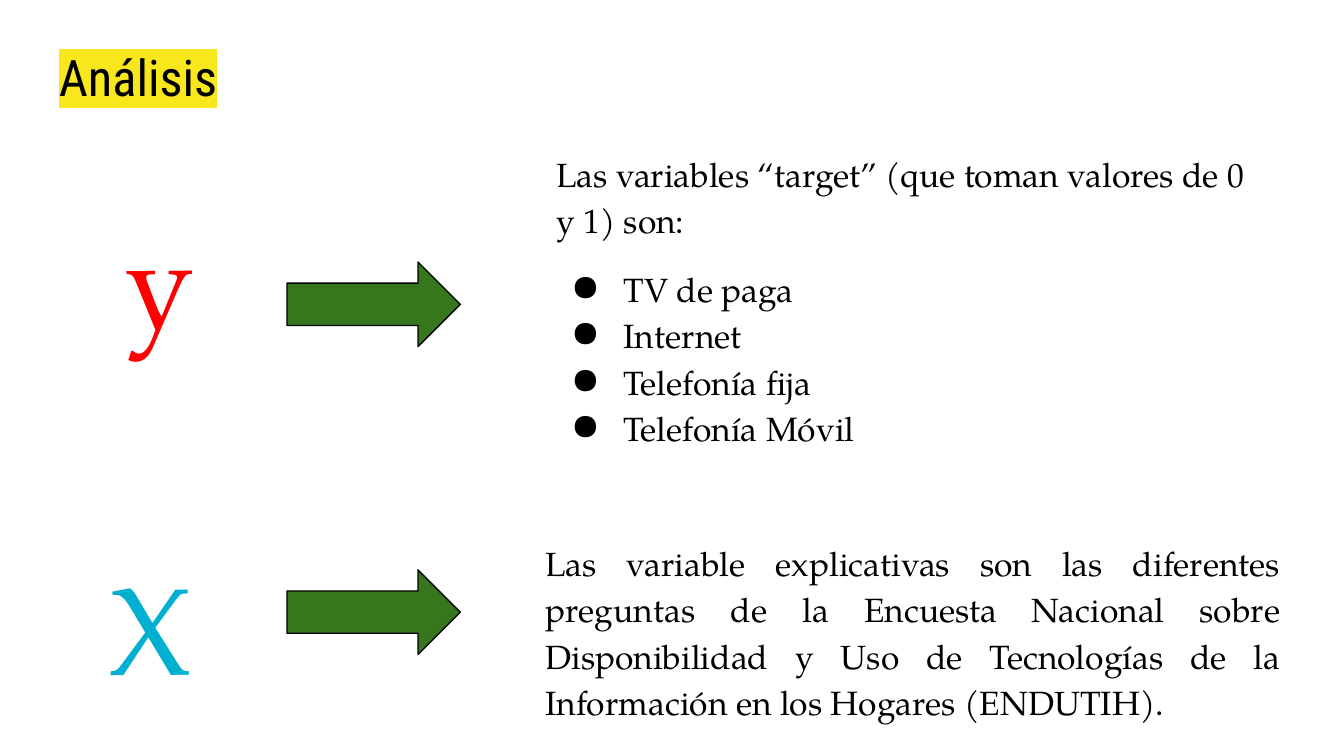
import dataclasses

import pptx
import pptx.dml.color
import pptx.enum.shapes
import pptx.enum.text
import pptx.oxml
import pptx.oxml.ns
import pptx.util

PX = 4572  # EMU per px, 200 px to the inch
ALIGN = pptx.enum.text.PP_ALIGN


@dataclasses.dataclass(frozen=True)
class Theme:
    heading_font: str = "Roboto Condensed"
    body_font: str = "TeX Gyre Pagella"
    heading_size: int = 27
    body_size: int = 18
    letter_size: int = 66
    ink: str = "000000"
    paper: str = "FFFFFF"
    marker: str = "F8E71C"
    target: str = "FF0000"
    features: str = "01AFD1"
    arrow: str = "38761D"


THEME = Theme()


def px(value):
    return pptx.util.Emu(value * PX)


def rgb(value):
    return pptx.dml.color.RGBColor.from_string(value)


def element(xml):
    return pptx.oxml.parse_xml(xml.replace(" ", f" {pptx.oxml.ns.nsdecls('a')} ", 1))


def add_text_box(page, box, grow=True):
    frame = page.shapes.add_textbox(*map(px, box)).text_frame
    frame.word_wrap = True
    frame.margin_left = frame.margin_right = px(20)
    frame.margin_top = frame.margin_bottom = px(20)
    if grow:
        frame.auto_size = pptx.enum.text.MSO_AUTO_SIZE.SHAPE_TO_FIT_TEXT
    return frame


def style(span, size, font=THEME.body_font, color=THEME.ink):
    span.font.size = pptx.util.Pt(size)
    span.font.name = font
    span.font.color.rgb = rgb(color)


def highlight(span, color):
    fill = span.font._element.find(pptx.oxml.ns.qn("a:solidFill"))
    fill.addnext(element(f'<a:highlight ><a:srgbClr val="{color}"/></a:highlight>'))


def add_bullet(para):
    props = para._p.get_or_add_pPr()
    props.set("marL", str(px(100)))
    props.set("indent", str(px(-75)))
    props.append(element(f'<a:buClr ><a:srgbClr val="{THEME.ink}"/></a:buClr>'))
    props.append(element(f'<a:buSzPts val="{THEME.body_size * 100}"/>'))
    props.append(element(f'<a:buFont typeface="{THEME.body_font}"/>'))
    props.append(element('<a:buChar char="●"/>'))


def add_heading(page, box, text):
    frame = add_text_box(page, box, grow=False)
    frame.text = text
    span = frame.paragraphs[0].runs[0]
    style(span, THEME.heading_size, THEME.heading_font)
    highlight(span, THEME.marker)


def add_symbol(page, box, letter, color, letter_offset, arrow_top):
    """Large variable letter with an arrow to its right."""
    left, top, width, height = box
    # Letter
    frame = add_text_box(page, (left + letter_offset, top, width, height))
    frame.text = letter
    style(frame.paragraphs[0].runs[0], THEME.letter_size, color=color)
    # Arrow
    arrow = page.shapes.add_shape(
        pptx.enum.shapes.MSO_SHAPE.RIGHT_ARROW,
        px(left + 284), px(top + arrow_top), px(258), px(126))
    arrow.shadow.inherit = False
    arrow.fill.solid()
    arrow.fill.fore_color.rgb = rgb(THEME.arrow)
    arrow.line.color.rgb = rgb(THEME.ink)
    arrow.line.width = pptx.util.Pt(0.75)


def add_target_list(page, box, intro, items):
    frame = add_text_box(page, box)
    frame.text = "\n".join([intro, *items])
    for index, para in enumerate(frame.paragraphs):
        para.line_spacing = 1.15
        style(para.runs[0], THEME.body_size)
        if index:
            para.alignment = ALIGN.JUSTIFY
            para.space_before = pptx.util.Pt(12 if index == 1 else 0)
            add_bullet(para)


def add_explanation(page, box, parts):
    """Justified paragraph; parts are (text, highlight colour or None)."""
    para = add_text_box(page, box).paragraphs[0]
    para.alignment = ALIGN.JUSTIFY
    para.line_spacing = 1.15
    para.space_after = pptx.util.Pt(12)
    for text, color in parts:
        span = para.add_run()
        span.text = text
        style(span, THEME.body_size)
        if color:
            highlight(span, color)


def main():
    deck = pptx.Presentation()
    deck.slide_width, deck.slide_height = px(2000), px(1125)
    page = deck.slides.add_slide(deck.slide_layouts[6])
    page.background.fill.solid()
    page.background.fill.fore_color.rgb = rgb(THEME.paper)

    add_heading(page, (68, 48, 1864, 126), "Análisis")

    # Target variables
    add_target_list(
        page, (808, 200, 1090, 484),
        "Las variables “target” (que toman valores de 0 y 1) son:",
        ["TV de paga", "Internet", "Telefonía fija", "Telefonía Móvil"])
    add_symbol(page, (143, 284, 1266, 262), "y", THEME.target, 24, 106)

    # Explanatory variables
    add_symbol(page, (143, 802, 1266, 262), "X", THEME.features, 0, 46)
    add_explanation(page, (792, 779, 1133, 310), [
        ("Las variable explicativas son las diferentes preguntas de la ", None),
        ("Encuesta Nacional sobre Disponibilidad y Uso de Tecnologías "
         "de la Información en los Hogares (", THEME.paper),
        ("ENDUTIH).", None)])

    deck.save("out.pptx")


if __name__ == "__main__":
    main()
